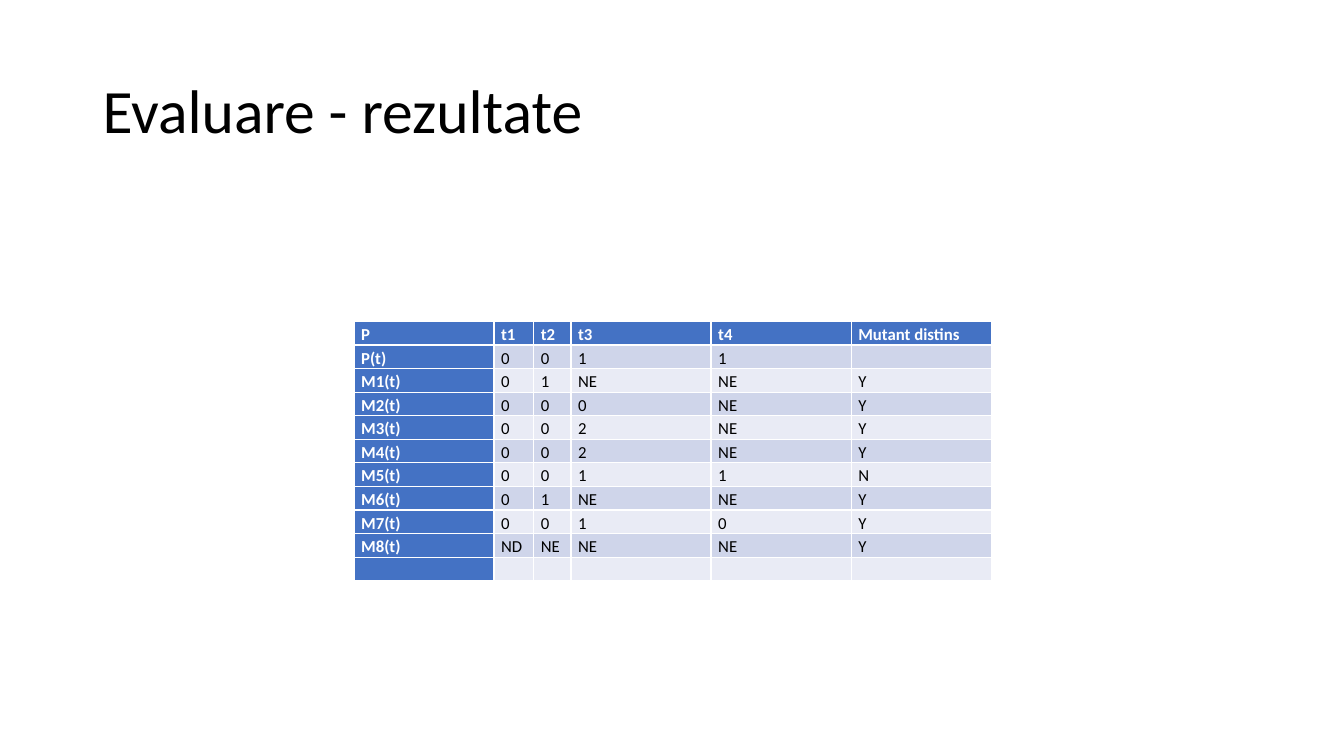
import pptx
import pptx.dml.color
import pptx.enum.text
import pptx.util
from lxml import etree
from pptx.util import Cm, Pt

TITLE = "Evaluare - rezultate"
RESULTS = [
    ("P", "t1", "t2", "t3", "t4", "Mutant distins"),
    ("P(t)", "0", "0", "1", "1", ""),
    ("M1(t)", "0", "1", "NE", "NE", "Y"),
    ("M2(t)", "0", "0", "0", "NE", "Y"),
    ("M3(t)", "0", "0", "2", "NE", "Y"),
    ("M4(t)", "0", "0", "2", "NE", "Y"),
    ("M5(t)", "0", "0", "1", "1", "N"),
    ("M6(t)", "0", "1", "NE", "NE", "Y"),
    ("M7(t)", "0", "0", "1", "0", "Y"),
    ("M8(t)", "ND", "NE", "NE", "NE", "Y"),
    ("", "", "", "", "", ""),
]
COLUMN_WIDTHS = (3.53, 1, 0.94, 3.53, 3.53, 3.53)
ROW_HEIGHT = 0.59
FONT = "Calibri"
TEXT_SIZE = 12
HEADER_FILL = "4472C4"
BAND_FILLS = ("E9EBF5", "CFD5EA")
WHITE, BLACK = "FFFFFF", "000000"


def color(value):
    return pptx.dml.color.RGBColor.from_string(value)


def style_paragraph(para, size, text_color, bold, spacing):
    para.line_spacing = spacing
    for span in para.runs:
        span.font.name = FONT
        span.font.size = Pt(size)
        span.font.bold = bold
        span.font.color.rgb = color(text_color)


def keep_empty_size(para):
    """Give an empty paragraph the table's text size, so its row stays low."""
    tag = pptx.oxml.ns.qn("a:endParaRPr")
    etree.SubElement(para._p, tag, sz=str(TEXT_SIZE * 100))


def add_title(page):
    box = page.shapes.title
    box.left, box.top, box.width, box.height = Cm(2.33), Cm(1.01), Cm(29.21), Cm(3.68)
    box.text_frame.text = TITLE
    box.text_frame.vertical_anchor = pptx.enum.text.MSO_ANCHOR.MIDDLE
    para = box.text_frame.paragraphs[0]
    para.alignment = pptx.enum.text.PP_ALIGN.LEFT
    style_paragraph(para, 44, BLACK, False, 0.9)


def fill_cell(cell, text, is_header, band):
    cell.margin_left = cell.margin_right = Cm(0.18)
    cell.margin_top = cell.margin_bottom = 0
    cell.fill.solid()
    cell.fill.fore_color.rgb = color(HEADER_FILL if is_header else BAND_FILLS[band])
    cell.text_frame.text = text
    para = cell.text_frame.paragraphs[0]
    style_paragraph(para, TEXT_SIZE, WHITE if is_header else BLACK, is_header, 1.15)
    if not text:
        keep_empty_size(para)


def add_results(page):
    frame = page.shapes.add_table(
        len(RESULTS), len(COLUMN_WIDTHS), Cm(8.92), Cm(8.1),
        Cm(sum(COLUMN_WIDTHS)), Cm(ROW_HEIGHT * len(RESULTS)))
    table = frame.table
    table.first_col = True
    for column, width in zip(table.columns, COLUMN_WIDTHS):
        column.width = Cm(width)
    for r, values in enumerate(RESULTS):
        table.rows[r].height = Cm(ROW_HEIGHT)
        for c, text in enumerate(values):
            fill_cell(table.cell(r, c), text, r == 0 or c == 0, r % 2)


def main():
    deck = pptx.Presentation()
    deck.slide_width, deck.slide_height = Cm(33.87), Cm(19.05)
    page = deck.slides.add_slide(deck.slide_layouts.get_by_name("Title Only"))
    add_title(page)
    add_results(page)
    deck.save("out.pptx")


if __name__ == "__main__":
    main()
